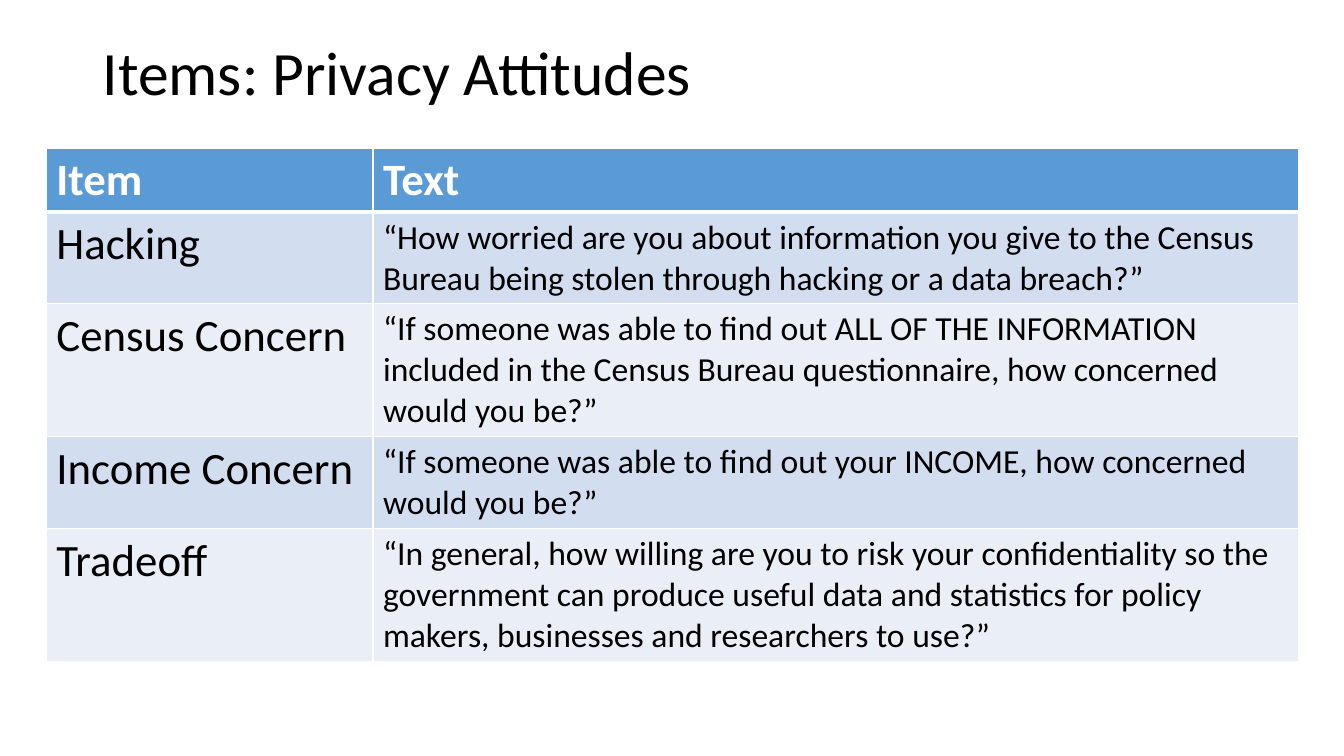
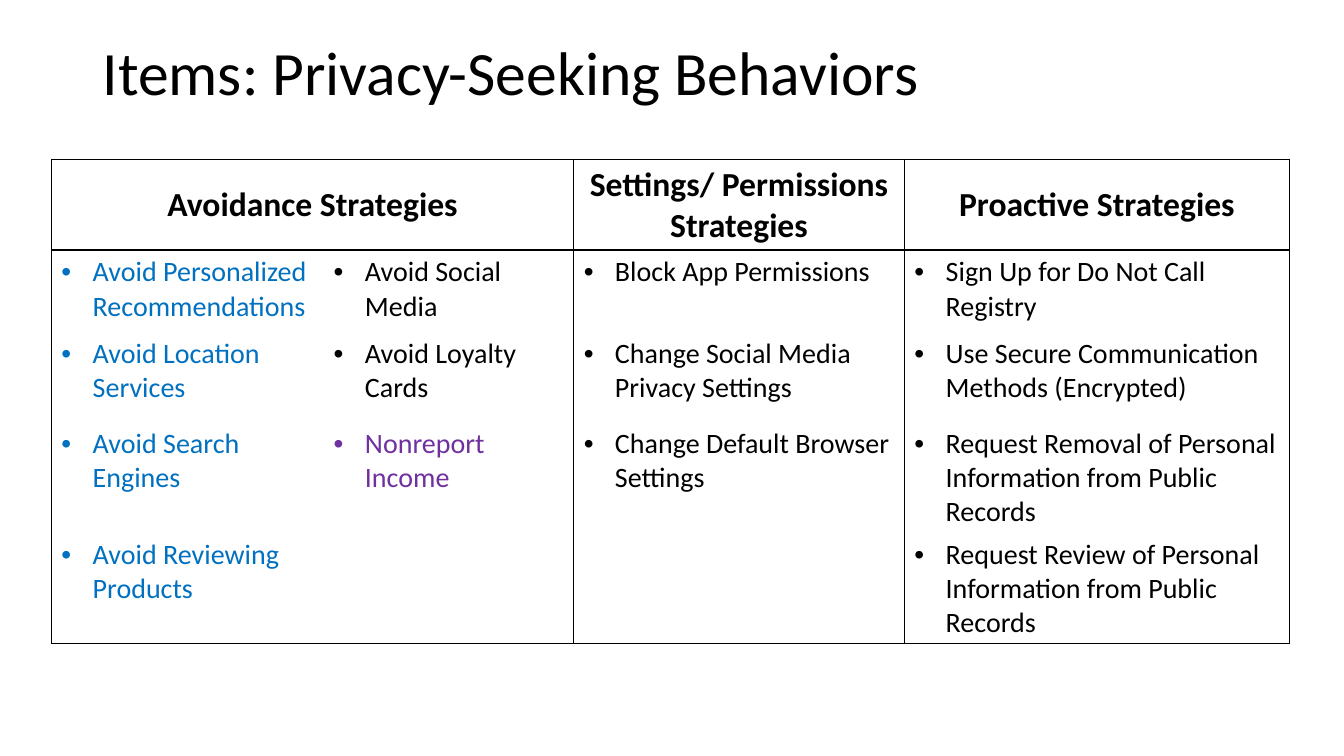
from lxml import etree
from pptx import Presentation
from pptx import util as u
from pptx.dml.color import RGBColor
from pptx.enum import text
from pptx.oxml import ns

PX = 9144
FONT = "Calibri"
BLACK = RGBColor(0x00, 0x00, 0x00)
WHITE = RGBColor(0xFF, 0xFF, 0xFF)
HEADER_BLUE = RGBColor(0x5B, 0x9B, 0xD5)
BAND_DARK = RGBColor(0xD2, 0xDE, 0xEF)
BAND_LIGHT = RGBColor(0xEA, 0xEF, 0xF7)
ITEM_BLUE = RGBColor(0x00, 0x70, 0xC0)
ITEM_PURPLE = RGBColor(0x70, 0x30, 0xA0)

TITLE_AT = (92, 2, 1150, 145)
TITLE_FONT = {"name": FONT, "size": u.Pt(44), "bold": False}
BULLET_INDENT = 31

ATTITUDES = [
    ("Item", "Text"),
    ("Hacking", "“How worried are you about information you give to the Census Bureau being stolen through hacking or a data breach?”"),
    ("Census Concern", "“If someone was able to find out ALL OF THE INFORMATION included in the Census Bureau questionnaire, how concerned would you be?”"),
    ("Income Concern", "“If someone was able to find out your INCOME, how concerned would you be?”"),
    ("Tradeoff", "“In general, how willing are you to risk your confidentiality so the government can produce useful data and statistics for policy makers, businesses and researchers to use?”"),
]
ATTITUDE_GRID = {
    "corner": (46, 147), "widths": (324, 918), "heights": (62, 91, 132, 91, 132),
    "column_lines": {0: 1, 1: 1, 2: 1},
    "row_lines": {0: 1, 1: 3, 2: 1, 3: 1, 4: 1, 5: 1}, "line_colour": WHITE,
}

BEHAVIORS = [
    ("Avoidance Strategies", "", "Settings/ Permissions Strategies", "Proactive Strategies"),
    ("Avoid Personalized Recommendations", "Avoid Social Media",
     "Block App Permissions", "Sign Up for Do Not Call Registry"),
    ("Avoid Location Services", "Avoid Loyalty Cards",
     "Change Social Media Privacy Settings", "Use Secure Communication Methods (Encrypted)"),
    ("Avoid Search Engines", "Nonreport Income",
     "Change Default Browser Settings", "Request Removal of Personal Information from Public Records"),
    ("Avoid Reviewing Products", "", "", "Request Review of Personal Information from Public Records"),
]
BEHAVIOR_GRID = {
    "corner": (51, 158), "widths": (270, 248, 328, 382), "heights": (88, 81, 89, 107, 102),
    "column_lines": {0: 1, 2: 1, 3: 1, 4: 1},
    "row_lines": {0: 1, 1: 1, 5: 1}, "line_colour": BLACK,
}


def add_element(parent, tag, **attributes):
    return etree.SubElement(parent, ns.qn(tag), attributes)


def write(para, words, style, colour):
    span = para.add_run()
    span.text = words
    for name, value in style.items():
        setattr(span.font, name, value)
    span.font.color.rgb = colour


def add_page(deck, title):
    page = deck.slides.add_slide(deck.slide_layouts[6])
    box = page.shapes.add_textbox(*(n * PX for n in TITLE_AT))
    frame = box.text_frame
    frame.word_wrap = True
    frame.vertical_anchor = text.MSO_ANCHOR.MIDDLE
    para = frame.paragraphs[0]
    para.line_spacing = 0.9
    write(para, title, TITLE_FONT, BLACK)
    return page


def draw_edge(cell, side, points, colour):
    props = cell._tc.get_or_add_tcPr()
    line = add_element(props, f"a:ln{side}", w=str(u.Pt(points)))
    if points:
        fill = add_element(line, "a:solidFill")
        add_element(fill, "a:srgbClr", val=str(colour))
    else:
        add_element(line, "a:noFill")


def add_grid(page, rows, grid):
    widths, heights = grid["widths"], grid["heights"]
    size = (*grid["corner"], sum(widths), sum(heights))
    table = page.shapes.add_table(len(heights), len(widths), *(n * PX for n in size)).table
    table.first_row = table.horz_banding = False
    for column, width in zip(table.columns, widths):
        column.width = width * PX
    for row, height in zip(table.rows, heights):
        row.height = height * PX
    across, down = grid["column_lines"], grid["row_lines"]
    cells = []
    for r, row in enumerate(rows):
        for c, words in enumerate(row):
            cell = table.cell(r, c)
            edges = {"L": across.get(c, 0), "R": across.get(c + 1, 0),
                     "T": down.get(r, 0), "B": down.get(r + 1, 0)}
            for side, points in edges.items():
                draw_edge(cell, side, points, grid["line_colour"])
            cells.append((r, c, cell, words))
    return table, cells


def add_bullet(para):
    props = para._p.get_or_add_pPr()
    props.set("marL", str(BULLET_INDENT * PX))
    props.set("indent", str(-BULLET_INDENT * PX))
    add_element(props, "a:buFont", typeface="Arial")
    add_element(props, "a:buChar", char="•")


def build_attitudes(deck):
    page = add_page(deck, "Items: Privacy Attitudes")
    table, cells = add_grid(page, ATTITUDES, ATTITUDE_GRID)
    for r, c, cell, words in cells:
        header = r == 0
        cell.fill.solid()
        cell.fill.fore_color.rgb = HEADER_BLUE if header else (BAND_LIGHT, BAND_DARK)[r % 2]
        style = {"name": FONT, "size": u.Pt(32 if header or c == 0 else 24), "bold": header}
        write(cell.text_frame.paragraphs[0], words, style, WHITE if header else BLACK)


def build_behaviors(deck):
    page = add_page(deck, "Items: Privacy-Seeking Behaviors")
    table, cells = add_grid(page, BEHAVIORS, BEHAVIOR_GRID)
    table.cell(0, 0).merge(table.cell(0, 1))
    for r, c, cell, words in cells:
        cell.fill.background()
        if not words:
            continue
        header = r == 0
        para = cell.text_frame.paragraphs[0]
        if header:
            cell.vertical_anchor = text.MSO_ANCHOR.MIDDLE
            para.alignment = text.PP_ALIGN.CENTER
            colour = BLACK
        else:
            add_bullet(para)
            colour = ITEM_BLUE if c == 0 else ITEM_PURPLE if words == "Nonreport Income" else BLACK
        style = {"name": FONT, "size": u.Pt(24 if header else 20), "bold": header}
        write(para, words, style, colour)


def main():
    deck = Presentation()
    deck.slide_width, deck.slide_height = 1333 * PX, 750 * PX
    build_attitudes(deck)
    build_behaviors(deck)
    deck.save("out.pptx")


if __name__ == "__main__":
    main()
